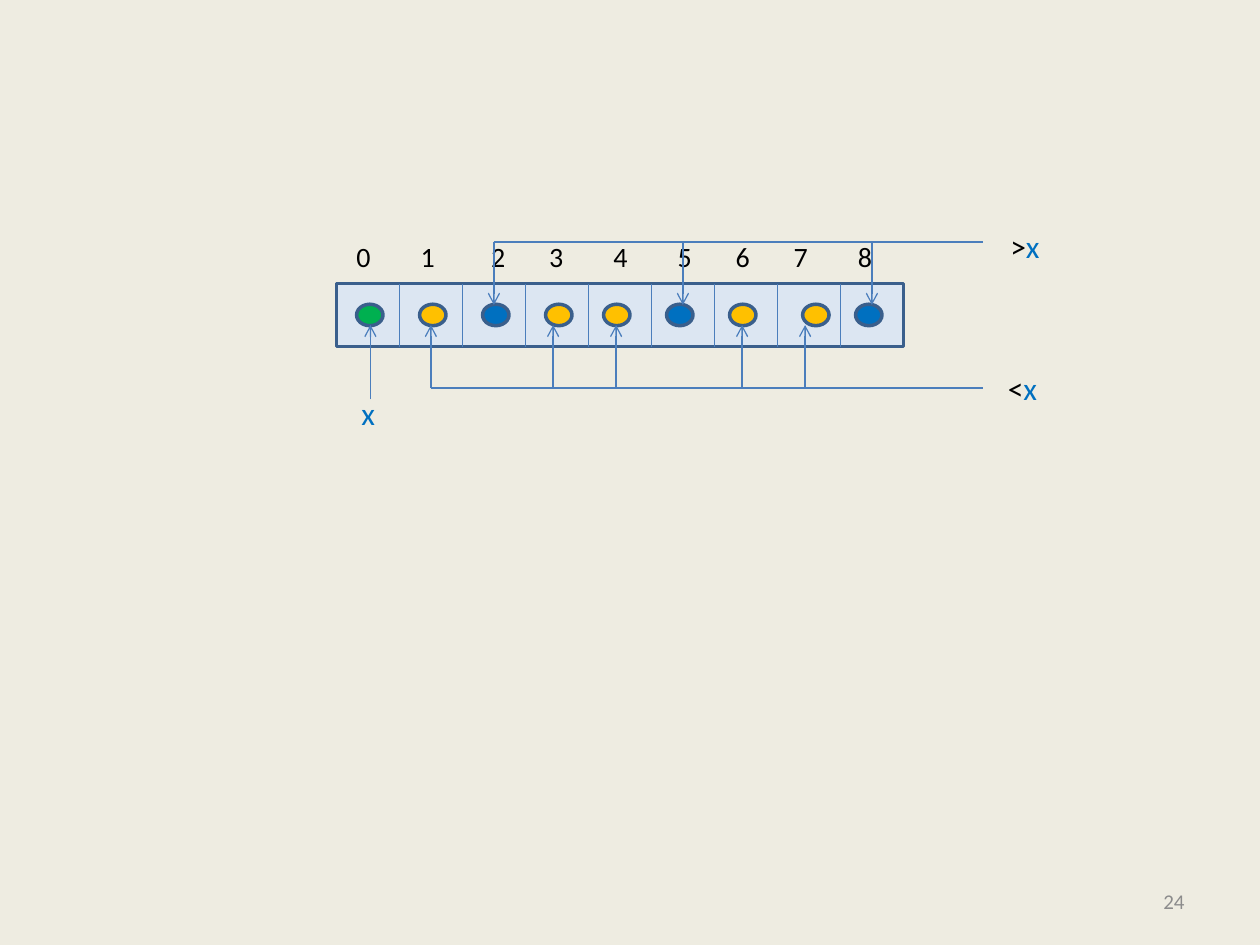
"""Draw an array partitioned around a pivot x, with its smaller and larger elements marked."""
from dataclasses import dataclass
from itertools import accumulate

from lxml import etree
from pptx import Presentation
from pptx import util as u
from pptx.dml.color import RGBColor
from pptx.enum import shapes, text
from pptx.oxml.ns import qn

COLORS = {
    "background": "EEECE1", "array": "DCE6F2", "outline": "3A5F8C", "line": "4B7EBC",
    "pivot": "00B050", "smaller": "FFC000", "larger": "0070C0",
    "black": "000000", "page": "8C8C8C",
}
CELL, LEFT, TOP = 0.5, 2.67, 2.25
CELLS = 9
SPACE = 0.05
DIGIT = 0.11


@dataclass(frozen=True)
class Ball:
    center: float
    role: str


@dataclass(frozen=True)
class Bus:
    row: float
    tip_row: float
    columns: tuple[float, ...]


@dataclass(frozen=True)
class Label:
    column: float
    row: float
    width: float
    runs: tuple[tuple[str, str], ...]
    size: int = 18


BALLS = (
    Ball(0.53, "pivot"), Ball(1.53, "smaller"), Ball(2.53, "larger"),
    Ball(3.53, "smaller"), Ball(4.45, "smaller"), Ball(5.45, "larger"),
    Ball(6.45, "smaller"), Ball(7.61, "smaller"), Ball(8.45, "larger"),
)
BUSES = (
    Bus(1.66, 0.66, (1.5, 3.44, 4.44, 6.44, 7.44)),
    Bus(-0.66, 0.34, (2.5, 5.5, 8.5)),
)
BUS_END = 10.26
INDEX_GAPS = (8, 9, 7, 8, 8, 7, 7, 8)
INDICES = Label(0.12, -0.8, 8.8, (("\t".join(map(str, range(CELLS))), "black"),), 16)
LABELS = (
    Label(0.2, 1.66, 0.62, (("x", "larger"),)),
    Label(10.46, 1.26, 0.88, (("<", "black"), ("x", "larger"))),
    Label(10.5, -1, 0.88, ((">", "black"), ("x", "larger"))),
)
PAGE = Label(9, 9.4, 4.66, (("24", "page"),), 12)


def color(name: str) -> RGBColor:
    return RGBColor.from_string(COLORS[name])


def at(column: float, row: float) -> tuple[int, int]:
    return u.Inches(LEFT + column * CELL), u.Inches(TOP + row * CELL)


def span(cells: float) -> int:
    return u.Inches(cells * CELL)


def draw_shape(slide, kind, column: float, row: float, width: float, height: float, fill: str):
    shape = slide.shapes.add_shape(kind, *at(column, row), span(width), span(height))
    shape.shadow.inherit = False
    shape.fill.solid()
    shape.fill.fore_color.rgb = color(fill)
    shape.line.color.rgb = color("outline")
    shape.line.width = u.Pt(2)


def draw_line(slide, start: tuple[float, float], end: tuple[float, float], arrow: bool = False):
    line = slide.shapes.add_connector(shapes.MSO_CONNECTOR.STRAIGHT, *at(*start), *at(*end))
    line.line.color.rgb = color("line")
    line.line.width = u.Pt(0.75)
    if arrow:
        etree.SubElement(line.line._get_or_add_ln(), qn("a:tailEnd"), type="arrow")
    etree.SubElement(line._element.spPr, qn("a:effectLst"))


def draw_bus(slide, bus: Bus):
    draw_line(slide, (bus.columns[0], bus.row), (BUS_END, bus.row))
    for column in bus.columns:
        draw_line(slide, (column, bus.row), (column, bus.tip_row), arrow=True)


def draw_label(slide, label: Label, tabs: tuple[float, ...] = ()):
    box = slide.shapes.add_textbox(*at(label.column, label.row), span(label.width), span(0.8))
    box.text_frame.word_wrap = False
    paragraph = box.text_frame.paragraphs[0]
    if tabs:
        stops = etree.SubElement(paragraph._p.get_or_add_pPr(), qn("a:tabLst"))
        for tab in tabs:
            etree.SubElement(stops, qn("a:tab"), pos=str(u.Inches(tab)), algn="l")
    paragraph.font.name = "Calibri"
    paragraph.font.size = u.Pt(label.size)
    for words, name in label.runs:
        run = paragraph.add_run()
        run.text = words
        run.font.color.rgb = color(name)
    return box


def main():
    deck = Presentation()
    deck.slide_width, deck.slide_height = u.Inches(10), u.Inches(7.5)
    slide = deck.slides.add_slide(deck.slide_layouts[6])
    slide.background.fill.solid()
    slide.background.fill.fore_color.rgb = color("background")

    draw_shape(slide, shapes.MSO_SHAPE.RECTANGLE, 0, 0, CELLS, 1, "array")
    for column in range(1, CELLS):
        draw_line(slide, (column, 0), (column, 1))
    draw_label(slide, INDICES, tuple(accumulate(gap * SPACE + DIGIT for gap in INDEX_GAPS)))

    page = draw_label(slide, PAGE)
    page.text_frame.word_wrap = True
    page.text_frame.vertical_anchor = text.MSO_ANCHOR.MIDDLE
    page.text_frame.paragraphs[0].alignment = text.PP_ALIGN.RIGHT

    for ball in BALLS:
        draw_shape(slide, shapes.MSO_SHAPE.OVAL, ball.center - 0.21, 0.33, 0.42, 0.34, ball.role)
    draw_line(slide, (0.54, 1.84), (0.54, 0.66), arrow=True)
    for bus in BUSES:
        draw_bus(slide, bus)
    for label in LABELS:
        draw_label(slide, label)
    deck.save("out.pptx")


if __name__ == "__main__":
    main()
